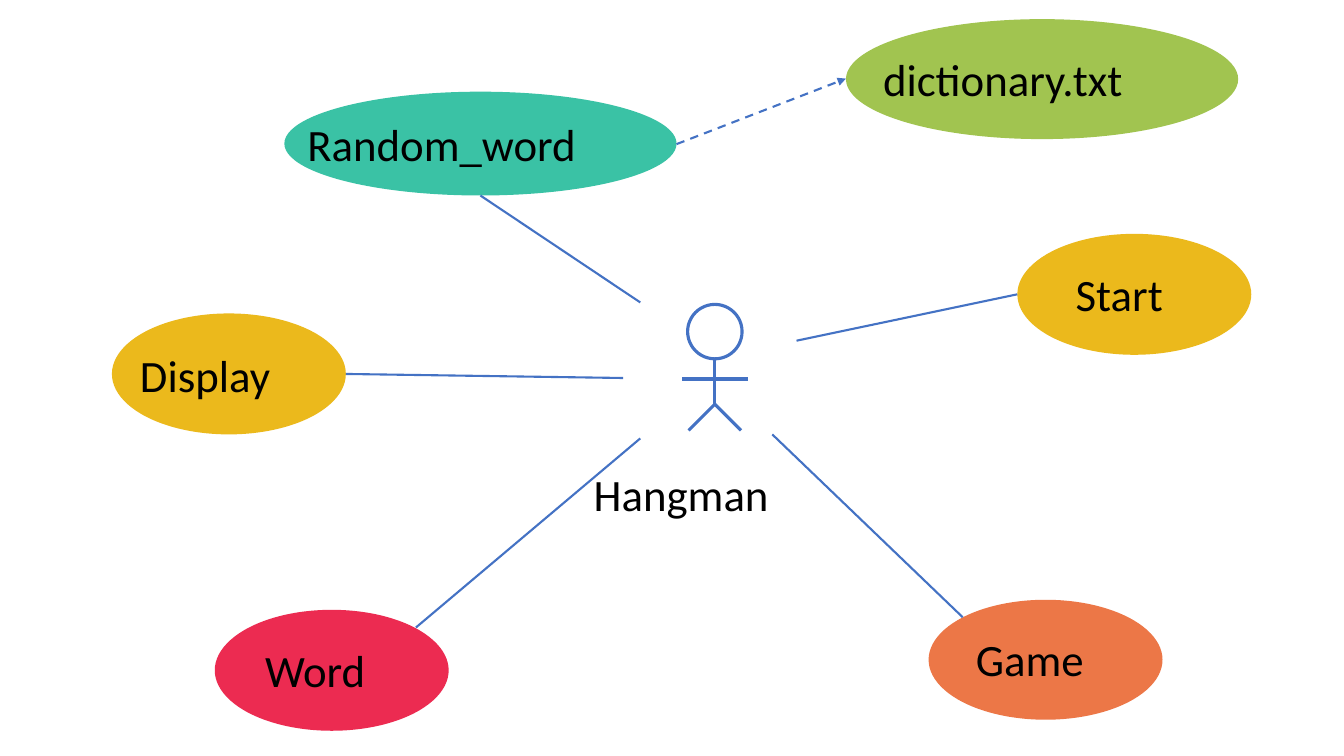
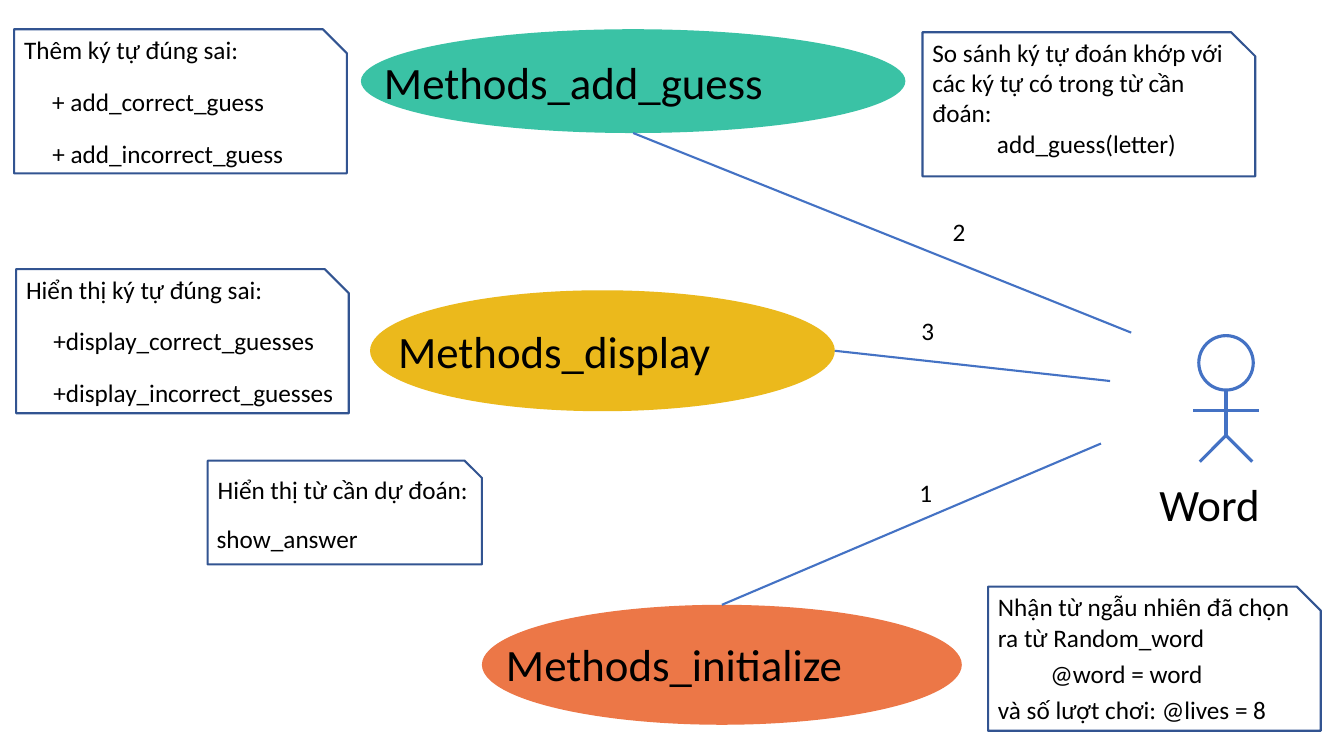
import dataclasses
import typing

import lxml.etree
import pptx
import pptx.dml.color
import pptx.enum.dml
import pptx.enum.shapes
import pptx.enum.text
import pptx.oxml.ns
import pptx.slide
import pptx.util

Inches = pptx.util.Inches
Pt = pptx.util.Pt
RGBColor = pptx.dml.color.RGBColor
Kind = pptx.enum.shapes.MSO_SHAPE
Point = typing.Tuple[float, float]

# Shared look
FONT = "Calibri"
BLACK = RGBColor(0x00, 0x00, 0x00)
BLUE = RGBColor(0x44, 0x72, 0xC4)
NAVY = RGBColor(0x32, 0x54, 0x91)
GOLD = RGBColor(0xEB, 0xB9, 0x1C)
ORANGE = RGBColor(0xEC, 0x77, 0x47)
RED = RGBColor(0xEC, 0x2B, 0x51)
GREEN = RGBColor(0xA1, 0xC4, 0x50)
TEAL = RGBColor(0x3A, 0xC2, 0xA5)
BIG, SMALL = 32, 18
HEIGHT = {BIG: 0.64, SMALL: 0.4}

# Where a link leaves an oval, as shares of its width and height
TOP, LOW = (0.5, 0), (0.5, 1)
LEFT, RIGHT = (0, 0.5), (1, 0.5)
UPLEFT, UPRIGHT = (0.146, 0.146), (0.86, 0.146)


@dataclasses.dataclass
class Label:
    text: str
    left: float
    top: float
    width: float
    size: int = SMALL
    wrap: bool = False


@dataclasses.dataclass
class Oval:
    box: typing.Tuple[float, float, float, float]
    color: RGBColor
    label: Label
    side: typing.Optional[Point] = None
    goal: Point = (0, 0)
    dashed: bool = False


@dataclasses.dataclass
class Note:
    box: typing.Tuple[float, float, float, float]
    lines: typing.List[Label]


@dataclasses.dataclass
class Actor:
    left: float
    top: float
    name: Label


# Drawing
def add_text(slide: pptx.slide.Slide, label: Label) -> None:
    box = slide.shapes.add_textbox(
        Inches(label.left), Inches(label.top),
        Inches(label.width), Inches(HEIGHT[label.size]))
    frame = box.text_frame
    frame.word_wrap = label.wrap
    frame.auto_size = pptx.enum.text.MSO_AUTO_SIZE.SHAPE_TO_FIT_TEXT
    frame.text = label.text
    for para in frame.paragraphs:
        para.font.name = FONT
        para.font.size = Pt(label.size)
        para.font.color.rgb = BLACK


def add_form(shapes: typing.Any, kind: Kind, box: typing.Sequence[float],
             fill: typing.Optional[RGBColor] = None,
             line: typing.Optional[RGBColor] = None,
             weight: float = 1.5) -> None:
    form = shapes.add_shape(kind, *(Inches(n) for n in box))
    form.shadow.inherit = False
    if fill is None:
        form.fill.background()
    else:
        form.fill.solid()
        form.fill.fore_color.rgb = fill
    if line is None:
        form.line.fill.background()
    else:
        form.line.color.rgb = line
        form.line.width = Pt(weight)


def add_line(shapes: typing.Any, start: Point, end: Point,
             weight: float = 1.5, dashed: bool = False) -> None:
    link = shapes.add_connector(
        pptx.enum.shapes.MSO_CONNECTOR.STRAIGHT,
        *(Inches(n) for n in (*start, *end)))
    link.line.color.rgb = BLUE
    link.line.width = Pt(weight)
    props = link.element.spPr
    if dashed:
        link.line.dash_style = pptx.enum.dml.MSO_LINE.DASH
        tip = lxml.etree.SubElement(
            link.line._get_or_add_ln(), pptx.oxml.ns.qn("a:tailEnd"))
        tip.set("type", "triangle")
    lxml.etree.SubElement(props, pptx.oxml.ns.qn("a:effectLst"))


def add_link(slide: pptx.slide.Slide, oval: Oval) -> None:
    left, top, width, height = oval.box
    if oval.side:
        start = (left + width * oval.side[0], top + height * oval.side[1])
        add_line(slide.shapes, start, oval.goal, dashed=oval.dashed)


def add_actor(slide: pptx.slide.Slide, actor: Actor) -> None:
    shapes = slide.shapes.add_group_shape().shapes
    head = 0.54
    mid = actor.left + head / 2
    neck = actor.top + head
    arm, hip, foot = neck + 0.2, neck + 0.45, neck + 0.71
    add_form(shapes, Kind.OVAL, (actor.left, actor.top, head, head),
             line=BLUE, weight=2.25)
    add_line(shapes, (mid, neck), (mid, hip), 2.25)
    for way in (-1, 1):
        add_line(shapes, (mid, arm), (mid + way * 0.33, arm), 2.25)
        add_line(shapes, (mid, hip), (mid + way * 0.26, foot), 2.25)
    add_text(slide, actor.name)


def add_page(deck: typing.Any, ovals: typing.List[Oval], actor: Actor,
             notes: typing.Sequence[Note] = (),
             marks: typing.Sequence[Label] = ()) -> None:
    slide = deck.slides.add_slide(deck.slide_layouts[6])
    for oval in ovals:
        add_form(slide.shapes, Kind.OVAL, oval.box, fill=oval.color)
        add_text(slide, oval.label)
    for oval in ovals:
        add_link(slide, oval)
    add_actor(slide, actor)
    for note in notes:
        add_form(slide.shapes, Kind.SNIP_1_RECTANGLE, note.box, line=NAVY)
        for line in note.lines:
            add_text(slide, line)
    for mark in marks:
        add_text(slide, mark)


deck = pptx.Presentation()
deck.slide_width, deck.slide_height = Inches(13.33), Inches(7.5)

# Slide 1: parts of the game
add_page(
    deck,
    [
        Oval((10.09, 2.32, 2.32, 1.2), GOLD,
             Label("Start", 10.57, 2.6, 1.35, BIG), LEFT, (7.9, 3.38)),
        Oval((9.21, 5.95, 2.32, 1.19), ORANGE,
             Label("Game", 9.58, 6.22, 1.58, BIG), UPLEFT, (7.66, 4.31)),
        Oval((2.13, 6.05, 2.32, 1.2), RED,
             Label("Word", 2.53, 6.33, 1.52, BIG), UPRIGHT, (6.35, 4.35)),
        Oval((8.39, 0.19, 3.89, 1.19), GREEN,
             Label("dictionary.txt", 8.66, 0.46, 3.36, BIG)),
        Oval((1.11, 3.11, 2.32, 1.2), GOLD,
             Label("Display", 1.29, 3.4, 1.96, BIG), RIGHT, (6.18, 3.75)),
        Oval((2.82, 0.91, 3.89, 1.03), TEAL,
             Label("Random_word", 2.95, 1.11, 3.64, BIG), LOW, (6.35, 3)),
    ],
    Actor(6.82, 3.02, Label("Hangman", 5.79, 4.58, 2.52, BIG)),
)
add_line(deck.slides[0].shapes, (6.71, 1.43), (8.39, 0.78), dashed=True)

# Slide 2: methods of Word
add_page(
    deck,
    [
        Oval((4.78, 6, 4.76, 1.19), ORANGE,
             Label("Methods_initialize", 4.92, 6.27, 4.47, BIG),
             TOP, (10.92, 4.4)),
        Oval((3.67, 2.88, 4.61, 1.2), GOLD,
             Label("Methods_display", 3.85, 3.16, 4.16, BIG),
             RIGHT, (11.01, 3.78)),
        Oval((3.58, 0.29, 5.4, 1.03), TEAL,
             Label("Methods_add_guess", 3.71, 0.49, 4.99, BIG),
             LOW, (11.22, 3.3)),
    ],
    Actor(11.89, 3.33, Label("Word", 11.4, 4.68, 1.52, BIG)),
    [
        Note((0.14, 0.29, 3.3, 1.43), [
            Label("Thêm ký tự đúng sai:", 0.14, 0.29, 2.35),
            Label("+ add_correct_guess", 0.42, 0.81, 2.33),
            Label("+ add_incorrect_guess", 0.42, 1.32, 2.52)]),
        Note((9.15, 0.32, 3.3, 1.43), [
            Label("So sánh ký tự đoán khớp với các ký tự có trong từ cần "
                  "đoán:", 9.15, 0.32, 3.3, wrap=True),
            Label("add_guess(letter)", 9.79, 1.22, 2)]),
        Note((0.16, 2.67, 3.3, 1.43), [
            Label("Hiển thị ký tự đúng sai:", 0.16, 2.67, 2.58),
            Label("+display_correct_guesses", 0.43, 3.18, 2.82),
            Label("+display_incorrect_guesses", 0.43, 3.69, 3.01)]),
        Note((9.8, 5.82, 3.3, 1.43), [
            Label("Nhận từ ngẫu nhiên đã chọn\nra từ Random_word",
                  9.8, 5.82, 3.13),
            Label("@word = word", 10.32, 6.48, 1.73),
            Label("và số lượt chơi: @lives = 8", 9.8, 6.84, 2.9)]),
        Note((2.06, 4.57, 2.72, 1.03), [
            Label("Hiển thị từ cần dự đoán:", 2.06, 4.66, 2.72),
            Label("show_answer", 2.05, 5.14, 1.62)]),
    ],
    [
        Label("2", 9.35, 2.1, 0.33),
        Label("1", 9.02, 4.69, 0.33),
        Label("3", 9.04, 3.08, 0.33),
    ],
)

deck.save("out.pptx")
